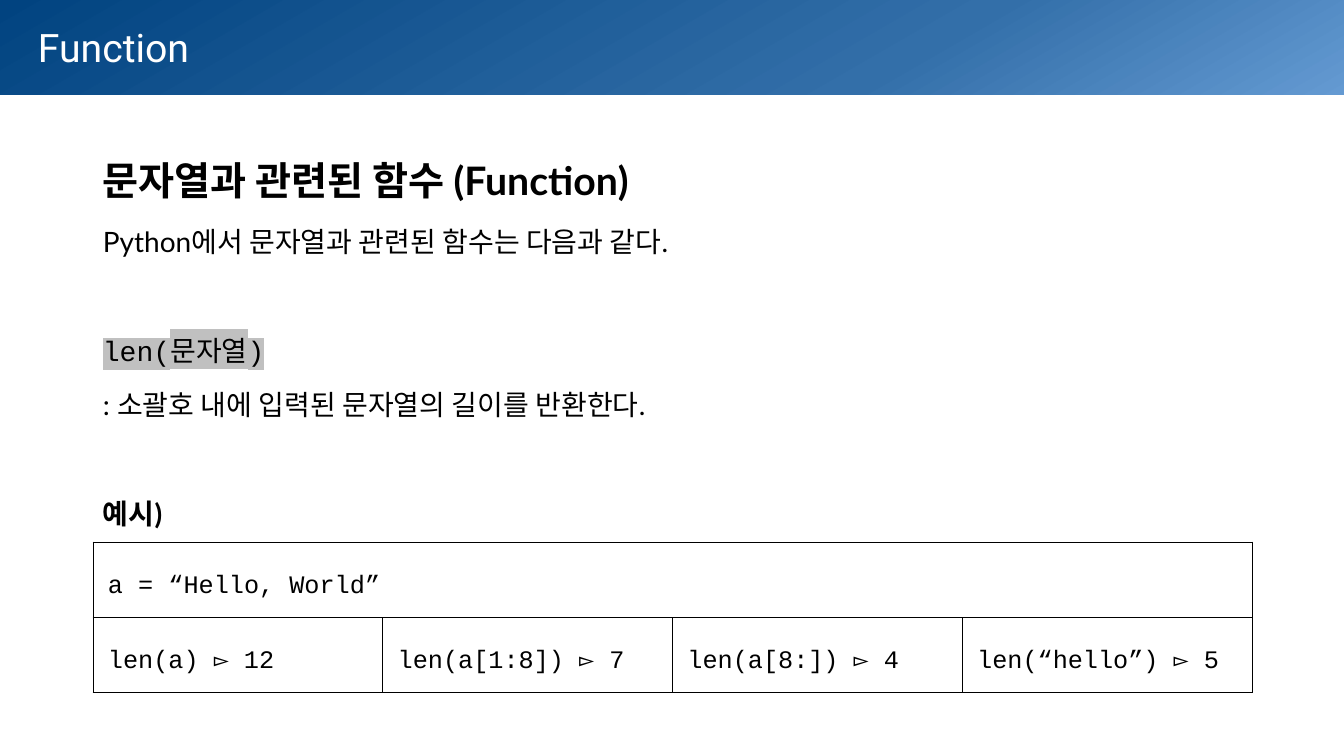
from copy import deepcopy

from lxml.etree import SubElement
from pptx import Presentation
from pptx.dml.color import RGBColor
from pptx.enum.shapes import MSO_SHAPE
from pptx.enum.text import MSO_ANCHOR, MSO_AUTO_SIZE
from pptx.oxml import parse_xml
from pptx.oxml.ns import nsdecls, qn
from pptx.util import Emu, Pt

SCALE = 12192000 / 1344
COLORS = {
    "light": "649AD2",
    "middle": "336FA9",
    "dark": "014380",
    "white": "FFFFFF",
    "black": "000000",
    "highlight": "C0C0C0",
}
BODY = [
    ("문자열과 관련된 함수 (Function)", 28, "Lato", True, 10, None),
    ("Python에서 문자열과 관련된 함수는 다음과 같다.", 20, "Lato", False, 10, None),
    ("len(문자열)", 20, "Courier New", False, 49, "highlight"),
    (": 소괄호 내에 입력된 문자열의 길이를 반환한다.", 20, "Lato", False, 10, None),
    ("예시)", 20, "Lato", True, 49, None),
]
ASSIGNMENT = "a = “Hello, World”"
RESULTS = ["len(a) ▻ 12", "len(a[1:8]) ▻ 7", "len(a[8:]) ▻ 4", "len(“hello”) ▻ 5"]


def px(n):
    return Emu(round(n * SCALE))


def rgb(name):
    return RGBColor.from_string(COLORS[name])


def format_run(r, size, font, color="black", bold=False, highlight=None):
    r.font.size = Pt(size)
    r.font.bold = bold
    r.font.color.rgb = rgb(color)
    if highlight:
        hl = SubElement(r.font._element, qn("a:highlight"))
        SubElement(hl, qn("a:srgbClr")).set("val", COLORS[highlight])
    r.font.name = font


def add_band(s):
    sp = s.shapes.add_shape(MSO_SHAPE.RECTANGLE, 0, 0, px(1344), px(95))
    sp.shadow.inherit = False
    sp.line.fill.background()
    sp.fill.gradient()
    sp.fill.gradient_angle = 120
    gs_lst = sp._element.spPr.find(".//" + qn("a:gsLst"))
    gs_lst.append(deepcopy(gs_lst[0]))
    stops = [("light", 0), ("middle", 0.33), ("dark", 1)]
    for stop, (name, position) in zip(sp.fill.gradient_stops, stops):
        stop.color.rgb = rgb(name)
        stop.position = position


def add_title(s, text):
    tf = s.shapes.add_textbox(px(28), px(18), px(207), px(57)).text_frame
    tf.word_wrap = False
    tf.auto_size = MSO_AUTO_SIZE.SHAPE_TO_FIT_TEXT
    tf.text = text
    format_run(tf.paragraphs[0].runs[0], 28, "Roboto", "white")


def add_body(s):
    tf = s.shapes.add_textbox(px(93), px(142), px(1159), px(579)).text_frame
    tf.word_wrap = True
    tf.text = "\n".join(row[0] for row in BODY)
    for p, (_, size, font, bold, before, highlight) in zip(tf.paragraphs, BODY):
        p.line_spacing = 1.2
        p.space_before = Pt(before)
        format_run(p.runs[0], size, font, bold=bold, highlight=highlight)


def add_borders(cell):
    tcPr = cell._tc.get_or_add_tcPr()
    for i, side in enumerate("LRTB"):
        tcPr.insert(i, parse_xml(
            f'<a:ln{side} {nsdecls("a")} w="6350"><a:solidFill>'
            f'<a:srgbClr val="{COLORS["black"]}"/></a:solidFill></a:ln{side}>'))


def fill_cell(cell, text):
    cell.vertical_anchor = MSO_ANCHOR.MIDDLE
    cell.margin_left = cell.margin_right = px(15)
    cell.margin_top = cell.margin_bottom = px(15)
    cell.text_frame.text = text
    p = cell.text_frame.paragraphs[0]
    p.line_spacing = 1.5
    format_run(p.runs[0], 18, "Courier New")


def add_example_table(s):
    cols = len(RESULTS)
    table = s.shapes.add_table(2, cols, px(93), px(542), px(1159), px(150)).table
    table.first_row = False
    table.horz_banding = False
    for cell in table.iter_cells():
        cell.fill.background()
        add_borders(cell)
    table.cell(0, 0).merge(table.cell(0, cols - 1))
    fill_cell(table.cell(0, 0), ASSIGNMENT)
    for i, text in enumerate(RESULTS):
        fill_cell(table.cell(1, i), text)


def main():
    prs = Presentation()
    prs.slide_width, prs.slide_height = px(1344), px(756)
    s = prs.slides.add_slide(prs.slide_layouts[6])
    add_band(s)
    add_title(s, "Function")
    add_body(s)
    add_example_table(s)
    prs.save("out.pptx")


if __name__ == "__main__":
    main()
